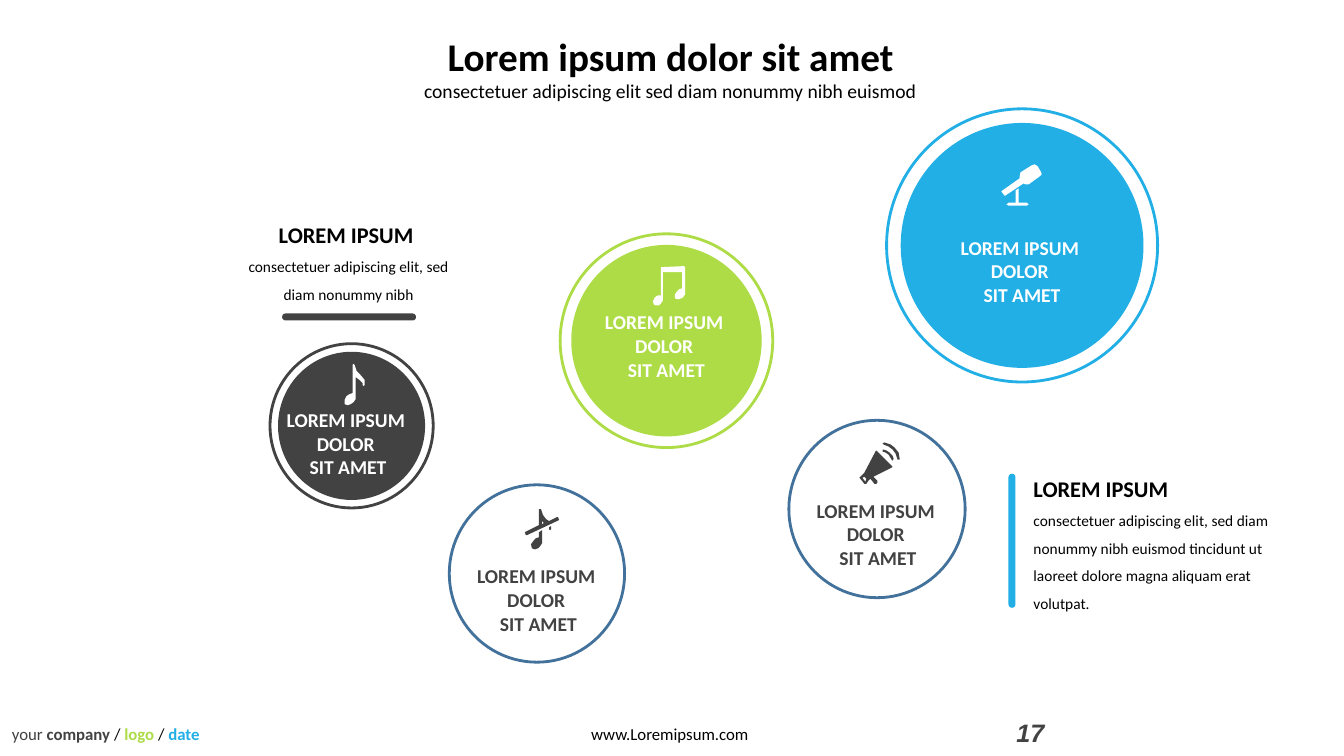
import pptx
import pptx.util
import pptx.dml.color
import pptx.enum.shapes
import pptx.enum.text

Inches, Pt = pptx.util.Inches, pptx.util.Pt
SHAPE = pptx.enum.shapes.MSO_SHAPE
CENTER = pptx.enum.text.PP_ALIGN.CENTER

COLORS = {
    "white": "FFFFFF", "black": "000000", "dark": "424242",
    "blue": "21AFE6", "green": "AEDC46", "steel": "42719B",
}

# Left, top, width, height, gap between ring and disc
DISCS = [
    ("blue", 8.8, 1.08, 2.69, 2.71, 0.14),
    ("green", 5.56, 2.32, 2.11, 2.12, 0.11),
    ("dark", 2.68, 3.41, 1.62, 1.63, 0.08),
]
RINGS = [(7.83, 4.17, 1.75, 1.76), (4.46, 4.81, 1.74, 1.76)]
LABELS = [
    (2.52, 4, "white"), (5.68, 3.03, "white"), (9.21, 2.29, "white"),
    (7.78, 4.9, "dark"), (4.41, 5.55, "dark"),
]

# Each outline is a list of closed contours, in inches on the slide
MIC_STAND = [[
    (10.19, 2.01), (10.11, 2.01), (10.11, 1.87), (10.08, 1.89), (10.08, 2.01),
    (10.01, 2.01), (9.99, 2.03), (10.01, 2.04), (10.19, 2.04), (10.21, 2.03)]]
MIC_BODY = [[
    (10.33, 1.7), (10.3, 1.65), (10.27, 1.63), (10.24, 1.64), (10.13, 1.71),
    (10.12, 1.75), (10.12, 1.77), (9.95, 1.89), (9.94, 1.9), (9.97, 1.94),
    (9.98, 1.94), (10.16, 1.82), (10.18, 1.83), (10.21, 1.83), (10.32, 1.75),
    (10.34, 1.73)]]
HORN = [
    [(8.71, 4.48), (8.7, 4.47), (8.69, 4.48), (8.58, 4.69), (8.56, 4.71),
     (8.54, 4.73), (8.53, 4.74), (8.54, 4.75), (8.58, 4.8), (8.6, 4.8),
     (8.62, 4.77), (8.64, 4.75), (8.68, 4.8), (8.7, 4.8), (8.71, 4.79),
     (8.71, 4.77), (8.67, 4.73), (8.85, 4.64), (8.86, 4.63), (8.85, 4.62)],
    [(8.59, 4.78), (8.56, 4.74), (8.58, 4.73), (8.6, 4.75)]]
OUTER_WAVE = [[
    (8.93, 4.55), (8.92, 4.49), (8.88, 4.44), (8.84, 4.41), (8.78, 4.39),
    (8.76, 4.4), (8.77, 4.41), (8.82, 4.43), (8.86, 4.46), (8.89, 4.5),
    (8.91, 4.56), (8.93, 4.56)]]
INNER_WAVE = [[
    (8.83, 4.49), (8.8, 4.47), (8.77, 4.46), (8.76, 4.46), (8.76, 4.48),
    (8.79, 4.49), (8.82, 4.51), (8.85, 4.56), (8.86, 4.57), (8.87, 4.55),
    (8.86, 4.52)]]
DOUBLE_NOTE = [[
    (6.8, 2.88), (6.8, 2.65), (6.79, 2.64), (6.56, 2.65), (6.56, 2.93),
    (6.53, 2.93), (6.5, 2.95), (6.48, 2.99), (6.49, 3.02), (6.51, 3.03),
    (6.54, 3.03), (6.56, 3.01), (6.58, 2.98), (6.58, 2.94), (6.58, 2.7),
    (6.77, 2.7), (6.77, 2.86), (6.74, 2.87), (6.72, 2.89), (6.7, 2.92),
    (6.7, 2.96), (6.73, 2.97), (6.76, 2.96), (6.78, 2.95), (6.8, 2.92)]]
SINGLE_NOTE = [[
    (3.57, 3.71), (3.54, 3.68), (3.52, 3.62), (3.51, 3.61), (3.5, 3.62),
    (3.5, 3.9), (3.47, 3.91), (3.44, 3.93), (3.42, 3.97), (3.42, 4.01),
    (3.45, 4.02), (3.48, 4.01), (3.51, 3.99), (3.53, 3.96), (3.53, 3.92),
    (3.53, 3.74), (3.57, 3.77), (3.6, 3.8), (3.6, 3.82), (3.61, 3.83),
    (3.62, 3.82), (3.62, 3.77)]]
MUTED_FLAG = [[
    (5.45, 5.23), (5.45, 5.25), (5.46, 5.26), (5.47, 5.25), (5.47, 5.22)]]
MUTED_HEAD = [[
    (5.38, 5.26), (5.35, 5.28), (5.35, 5.33), (5.32, 5.34), (5.3, 5.36),
    (5.27, 5.4), (5.28, 5.44), (5.31, 5.45), (5.34, 5.44), (5.36, 5.42),
    (5.38, 5.39), (5.38, 5.35)]]
MUTED_STROKE = [
    [(5.55, 5.16), (5.54, 5.13), (5.53, 5.13), (5.45, 5.17), (5.42, 5.15),
     (5.39, 5.11), (5.37, 5.05), (5.35, 5.05), (5.35, 5.21), (5.21, 5.28),
     (5.22, 5.31), (5.23, 5.31)],
    [(5.38, 5.17), (5.4, 5.19), (5.38, 5.2)]]
ICONS = {
    "white": [MIC_STAND, MIC_BODY, DOUBLE_NOTE, SINGLE_NOTE],
    "dark": [HORN, OUTER_WAVE, INNER_WAVE, MUTED_FLAG, MUTED_HEAD, MUTED_STROKE],
}


def rgb(name):
    return pptx.dml.color.RGBColor.from_string(COLORS[name])


def paint(shape, fill, line=None):
    shape.shadow.inherit = False
    shape.fill.solid()
    shape.fill.fore_color.rgb = rgb(fill)
    if line:
        shape.line.color.rgb = rgb(line)
        shape.line.width = Pt(2)
    else:
        shape.line.fill.background()


def style(run, size, color, bold=False, italic=False, font="Calibri"):
    f = run.font
    f.name, f.size, f.bold, f.italic = font, Pt(size), bold, italic
    f.color.rgb = rgb(color)


def add_shape(s, kind, box, fill, line=None):
    shape = s.shapes.add_shape(kind, *map(Inches, box))
    paint(shape, fill, line)
    return shape


def add_disc(s, color, x, y, w, h, gap):
    add_shape(s, SHAPE.OVAL, (x, y, w, h), "white", color)
    add_shape(s, SHAPE.OVAL, (x + gap, y + gap, w - 2 * gap, h - 2 * gap), color)


def add_bar(s, box, color):
    add_shape(s, SHAPE.ROUNDED_RECTANGLE, box, color).adjustments[0] = 0.5


def add_icon(s, contours, color):
    first, *rest = [[(Inches(x), Inches(y)) for x, y in c] for c in contours]
    fb = s.shapes.build_freeform(*first[0])
    fb.add_line_segments(first[1:])
    for contour in rest:
        fb.move_to(*contour[0])
        fb.add_line_segments(contour[1:])
    paint(fb.convert_to_shape(), color)


def fill_text(tf, lines, color, align=None, spacing=None):
    """Write (text, size, bold) lines, one paragraph each."""
    tf.word_wrap = True
    tf.text = "\n".join(text for text, _, _ in lines)
    for p, (_, size, bold) in zip(tf.paragraphs, lines):
        p.alignment, p.line_spacing = align, spacing
        style(p.runs[0], size, color, bold)


def add_text(s, box, lines, color, align=None, spacing=None):
    tb = s.shapes.add_textbox(*map(Inches, box))
    fill_text(tb.text_frame, lines, color, align, spacing)


def add_title(s):
    sp = s.shapes.title
    sp.left, sp.top, sp.width, sp.height = map(Inches, (3.98, 0.27, 5.35, 0.8))
    tf = sp.text_frame
    tf.auto_size = pptx.enum.text.MSO_AUTO_SIZE.NONE
    tf.vertical_anchor = pptx.enum.text.MSO_ANCHOR.TOP
    fill_text(tf, [
        ("Lorem ipsum dolor sit amet", 28, True),
        ("consectetuer adipiscing elit sed diam nonummy nibh euismod", 14, False),
    ], "black", CENTER)


def add_footer(s):
    add_text(s, (5.77, 7.13, 1.77, 0.3), [("www.Loremipsum.com", 12, False)], "black")
    tb = s.shapes.add_textbox(*map(Inches, (0.02, 7.13, 2.07, 0.3)))
    p = tb.text_frame.paragraphs[0]
    for text, color, bold in [
            ("your ", "dark", False), ("company ", "dark", True),
            ("/ ", "black", False), ("logo ", "green", True),
            ("/ ", "black", False), ("date", "blue", True)]:
        r = p.add_run()
        r.text = text
        style(r, 12, color, bold)
    tb = s.shapes.add_textbox(*map(Inches, (9.99, 7.07, 3, 0.4)))
    tb.text_frame.text = "17"
    style(tb.text_frame.paragraphs[0].runs[0], 18, "dark", True, True, "Arial")


def main():
    prs = pptx.Presentation()
    prs.slide_width, prs.slide_height = Inches(13.34), Inches(7.5)
    s = prs.slides.add_slide(prs.slide_layouts[5])
    add_title(s)
    add_footer(s)
    for disc in DISCS:
        add_disc(s, *disc)
    for box in RINGS:
        add_shape(s, SHAPE.OVAL, box, "white", "steel")
    for color, outlines in ICONS.items():
        for contours in outlines:
            add_icon(s, contours, color)
    label = [(t, 14, True) for t in ("LOREM IPSUM ", "DOLOR ", "SIT AMET")]
    for x, y, color in LABELS:
        add_text(s, (x, y, 1.87, 0.8), label, color, CENTER)
    add_text(s, (10.16, 4.53, 2.83, 1.6), [
        ("LOREM IPSUM", 16, True),
        ("consectetuer adipiscing elit, sed diam nonummy nibh euismod tincidunt "
         "ut laoreet dolore magna aliquam erat volutpat.", 11, False),
    ], "black", spacing=1.5)
    add_bar(s, (10.01, 4.7, 0.07, 1.33), "blue")
    add_text(s, (2.35, 2.01, 2.22, 1.05), [
        ("LOREM IPSUM ", 16, True),
        ("consectetuer adipiscing elit, sed diam nonummy nibh", 11, False),
    ], "black", CENTER, 1.5)
    add_bar(s, (2.8, 3.11, 1.33, 0.07), "dark")
    prs.save("out.pptx")


if __name__ == "__main__":
    main()
